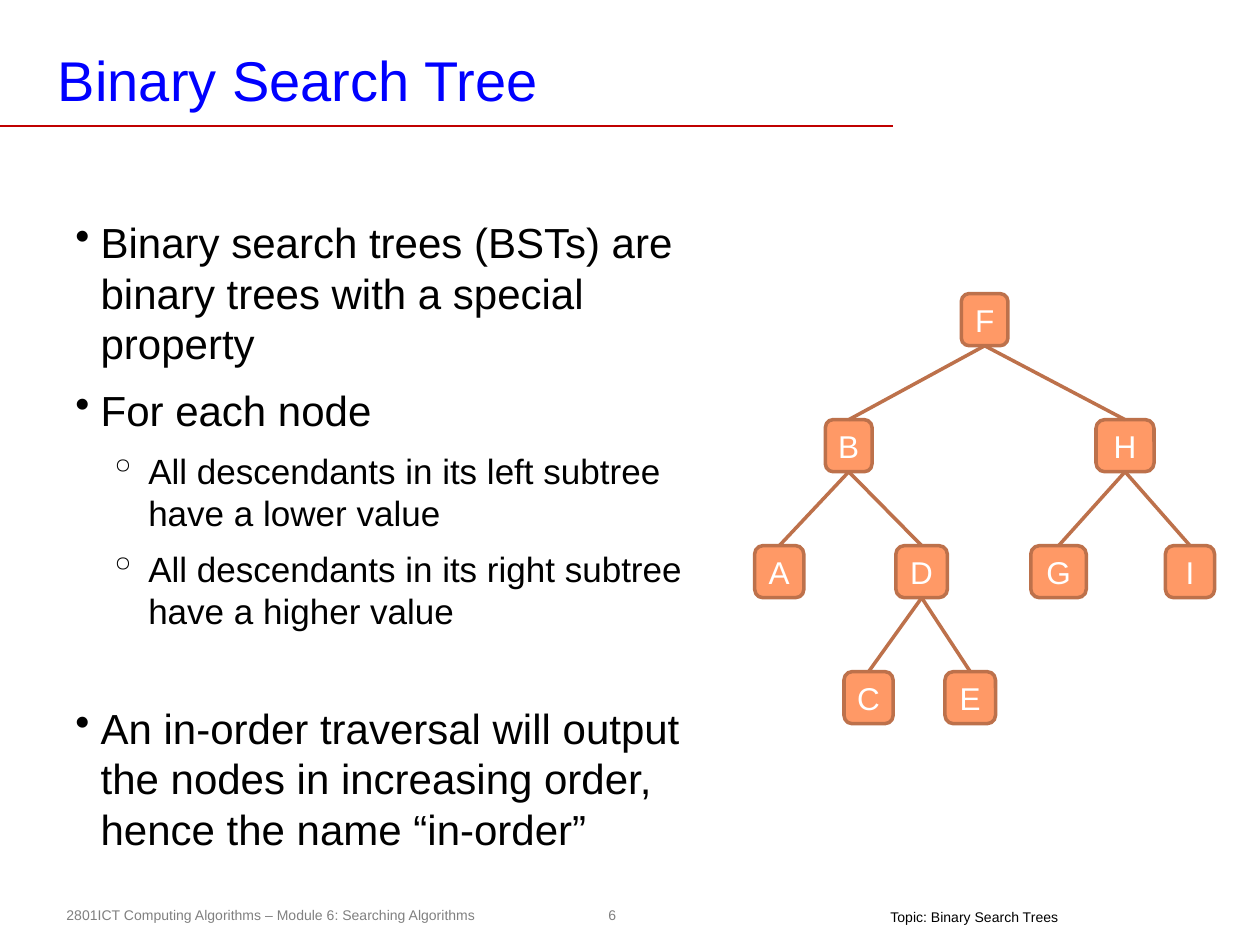
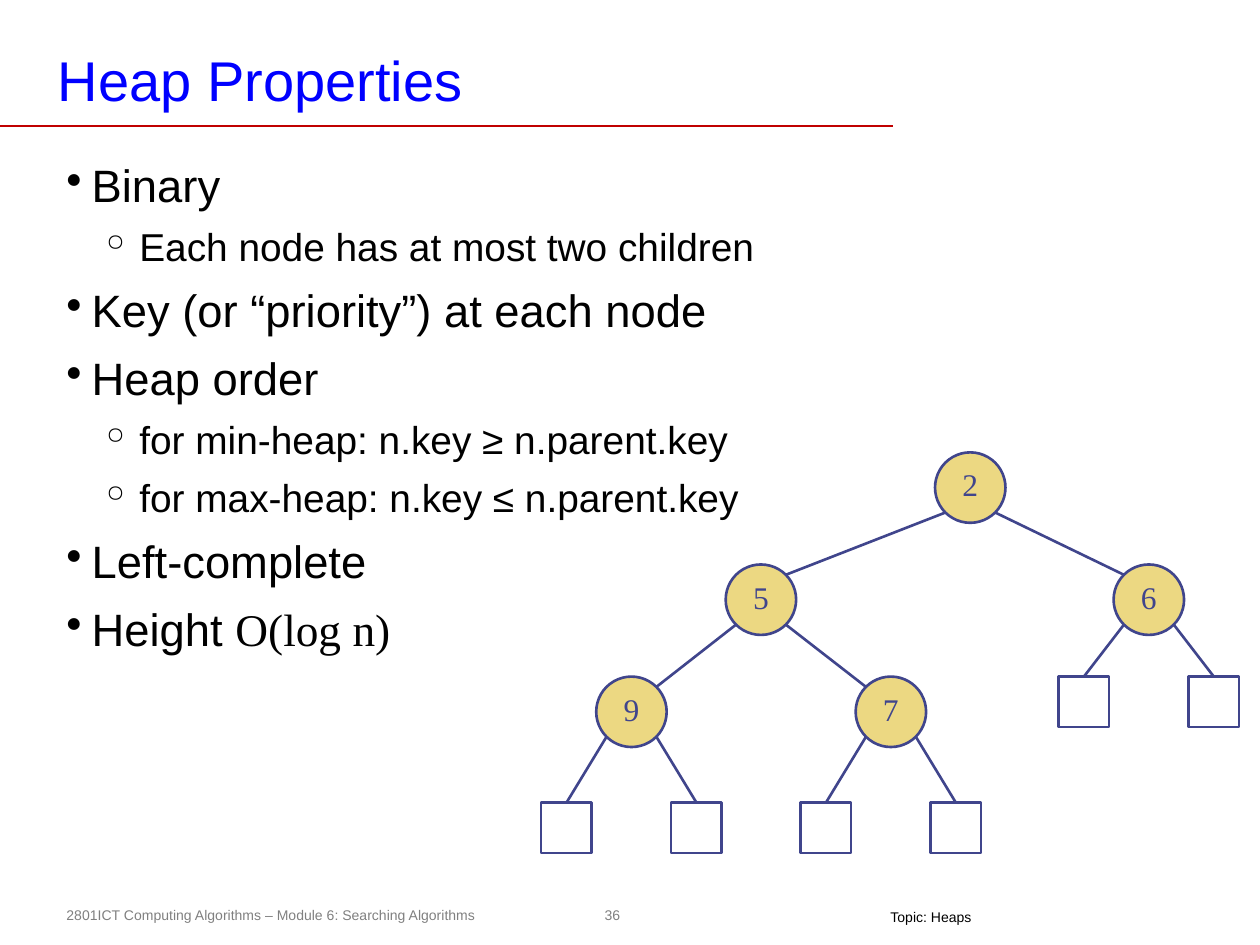
import math

import lxml.etree
import pptx
import pptx.dml.color
import pptx.enum.shapes
import pptx.enum.text
import pptx.oxml.ns
import pptx.util

Cm = pptx.util.Cm
Pt = pptx.util.Pt
RGBColor = pptx.dml.color.RGBColor
Shape = pptx.enum.shapes.MSO_SHAPE
Align = pptx.enum.text.PP_ALIGN
Anchor = pptx.enum.text.MSO_ANCHOR

BLACK = RGBColor(0x00, 0x00, 0x00)
WHITE = RGBColor(0xFF, 0xFF, 0xFF)
GREY = RGBColor(0x80, 0x80, 0x80)
TITLE_BLUE = RGBColor(0x00, 0x00, 0xFF)
RULE_RED = RGBColor(0xC0, 0x00, 0x00)
ORANGE = RGBColor(0xFF, 0x99, 0x66)
BROWN = RGBColor(0xBD, 0x71, 0x4B)
SAND = RGBColor(0xEC, 0xD8, 0x82)
INDIGO = RGBColor(0x40, 0x45, 0x8C)

SANS = "Arial"
SERIF = "Times New Roman"
COURSE = "2801ICT Computing Algorithms – Module 6: Searching Algorithms"

# Bullet sign, left margin and hanging indent of each outline level, in cm
BULLETS = [("•", 0.51, 0.51), ("◦", 1.47, 0.79)]


class Deck:
    """Holds the presentation, its shared style and the current slide."""

    def __init__(self):
        self.presentation = pptx.Presentation()
        self.presentation.slide_width = Cm(25.4)
        self.presentation.slide_height = Cm(19.05)
        self.slide = None

    def start_slide(self, title, number, topic):
        blank = self.presentation.slide_layouts[6]
        self.slide = self.presentation.slides.add_slide(blank)
        self.text(number, (12.04, 18.11, 0.61, 0.66), 8, GREY, insets=(0.1,) * 4,
                  align=Align.CENTER, anchor=Anchor.MIDDLE, wrap=False)
        self.text(COURSE, (1.09, 18.14, 9.25, 0.61), 8, GREY)
        self.line((0, 2.54), (18.01, 2.54), RULE_RED, 1)
        self.text(title, (0.99, 0.84, 18.85, 1.52), 32, TITLE_BLUE,
                  insets=(0.18, 0.08, 0.18, 0.08))
        self.text(topic, (17.7, 18.31, 3.94, 0.43), 8, BLACK, insets=(0.25, 0, 0.25, 0.1))

    def add_run(self, paragraph, content, size, color, font=SANS):
        run = paragraph.add_run()
        run.text = content
        run.font.size = Pt(size)
        run.font.name = font
        run.font.color.rgb = color

    def set_frame(self, frame, insets, anchor, wrap):
        frame.margin_left, frame.margin_top, frame.margin_right, frame.margin_bottom = map(Cm, insets)
        frame.vertical_anchor = anchor
        frame.word_wrap = wrap

    def text(self, content, box, size, color, insets=(0.25, 0.13, 0.25, 0.13),
             align=Align.LEFT, anchor=Anchor.TOP, wrap=True):
        frame = self.slide.shapes.add_textbox(*map(Cm, box)).text_frame
        self.set_frame(frame, insets, anchor, wrap)
        frame.paragraphs[0].alignment = align
        self.add_run(frame.paragraphs[0], content, size, color)

    def outline(self, points, box, sizes, line_spacing, gap):
        """Add bullets given as (level, runs, extra space in points).

        A run is text or (text, font); gap is the space before a bullet
        as a share of its text size.
        """
        frame = self.slide.shapes.add_textbox(*map(Cm, box)).text_frame
        self.set_frame(frame, (0.25, 0.13, 0.25, 0.13), Anchor.TOP, True)
        for index, (level, runs, extra) in enumerate(points):
            paragraph = frame.add_paragraph() if index else frame.paragraphs[0]
            paragraph.level = level
            paragraph.line_spacing = line_spacing
            paragraph.space_before = Pt(gap * sizes[level] + extra if index else 0)
            for content, font in runs:
                self.add_run(paragraph, content, sizes[level], BLACK, font)
            sign, margin, hang = BULLETS[level]
            properties = paragraph._p.get_or_add_pPr()
            properties.set("marL", str(Cm(margin)))
            properties.set("indent", str(-Cm(hang)))
            bullet = lxml.etree.SubElement(properties, pptx.oxml.ns.qn("a:buChar"))
            bullet.set("char", sign)

    def node(self, kind, center_x, top, width, height, line, weight, fill=None):
        shape = self.slide.shapes.add_shape(
            kind, Cm(center_x - width / 2), Cm(top), Cm(width), Cm(height))
        shape.shadow.inherit = False
        if fill is None:
            shape.fill.background()
        else:
            shape.fill.solid()
            shape.fill.fore_color.rgb = fill
        shape.line.color.rgb = line
        shape.line.width = Pt(weight)
        return shape

    def label(self, node, key, color, font, bottom=0):
        self.set_frame(node.text_frame, (0, 0, 0, bottom), Anchor.MIDDLE, False)
        node.text_frame.paragraphs[0].alignment = Align.CENTER
        self.add_run(node.text_frame.paragraphs[0], key, 18, color, font)

    def line(self, start, end, color, weight):
        connector = self.slide.shapes.add_connector(
            pptx.enum.shapes.MSO_CONNECTOR.STRAIGHT, *map(Cm, (*start, *end)))
        connector.line.color.rgb = color
        connector.line.width = Pt(weight)
        lxml.etree.SubElement(connector._element.spPr, pptx.oxml.ns.qn("a:effectLst"))
        return connector


def point(level, content, extra=0):
    return level, [(content, SANS)], extra


def build_search_tree(deck):
    deck.start_slide("Binary Search Tree", "6", "Topic: Binary Search Trees")
    deck.outline([
        point(0, "Binary search trees (BSTs) are binary trees with a special property"),
        point(0, "For each node"),
        point(1, "All descendants in its left subtree have a lower value"),
        point(1, "All descendants in its right subtree have a higher value"),
        point(0, "An in-order traversal will output the nodes in increasing order, "
                 "hence the name “in-order”", extra=31),
    ], (1.27, 4.24, 13.34, 14.6), (24, 20), 1.0, 0.4)

    # Key: depth, centre, width
    tree = {
        "F": (0, 19.85, 0.94), "B": (1, 17.11, 0.94), "H": (1, 22.68, 1.17),
        "G": (2, 21.34, 1.12), "I": (2, 23.99, 0.99), "A": (2, 15.71, 0.99),
        "D": (2, 18.58, 1.04), "C": (3, 17.51, 0.99), "E": (3, 19.56, 1.02),
    }
    nodes = {}
    for key, (depth, center_x, width) in tree.items():
        nodes[key] = deck.node(Shape.ROUNDED_RECTANGLE, center_x, 5.92 + 2.54 * depth,
                               width, 1.05, BROWN, 2, ORANGE)
        deck.label(nodes[key], key, WHITE, SANS)
    for parent, child in ("FB", "FH", "BA", "BD", "HG", "HI", "DC", "DE"):
        edge = deck.line((0, 0), (0, 0), BROWN, 2)
        edge.begin_connect(nodes[parent], 2)
        edge.end_connect(nodes[child], 0)


def build_heap(deck):
    deck.start_slide("Heap Properties", "36", "Topic: Heaps")
    deck.outline([
        point(0, "Binary"),
        point(1, "Each node has at most two children"),
        point(0, "Key (or “priority”) at each node"),
        point(0, "Heap order"),
        point(1, "for min-heap: n.key ≥ n.parent.key"),
        point(1, "for max-heap: n.key ≤ n.parent.key"),
        point(0, "Left-complete"),
        (0, [("Height ", SANS), ("O(log n)", SERIF)], 0),
    ], (1.09, 3.12, 22.22, 10.8), (25.9, 22.2), 0.95, 0.35)

    diameter, leaf_side, leaf_offset = 1.42, 1.02, 1.31
    diagonal = diameter / 2 * math.sqrt(0.5)
    # Key: centre of the circle
    heap = {"2": (19.56, 9.83), "5": (15.34, 12.09), "6": (23.16, 12.09),
            "9": (12.73, 14.35), "7": (17.96, 14.35)}
    for key, (center_x, center_y) in heap.items():
        circle = deck.node(Shape.OVAL, center_x, center_y - diameter / 2,
                           diameter, diameter, INDIGO, 1.5, SAND)
        deck.label(circle, key, INDIGO, SERIF, bottom=0.13)

    for parent, child in ("25", "26", "59", "57"):
        (parent_x, parent_y), (child_x, child_y) = heap[parent], heap[child]
        side = math.copysign(diagonal, child_x - parent_x)
        deck.line((parent_x + side, parent_y + diagonal),
                  (child_x - side, child_y - diagonal), INDIGO, 1.5)

    for parent, leaf_top in (("6", 13.64), ("9", 16.18), ("7", 16.18)):
        parent_x, parent_y = heap[parent]
        for side in (-1, 1):
            leaf_x = parent_x + side * leaf_offset
            leaf = deck.node(Shape.RECTANGLE, leaf_x, leaf_top,
                             leaf_side, leaf_side, INDIGO, 1.5)
            edge = deck.line((parent_x + side * diagonal, parent_y + diagonal),
                             (leaf_x, leaf_top), INDIGO, 1.5)
            edge.end_connect(leaf, 0)


def main():
    deck = Deck()
    build_search_tree(deck)
    build_heap(deck)
    deck.presentation.save("out.pptx")


if __name__ == "__main__":
    main()
